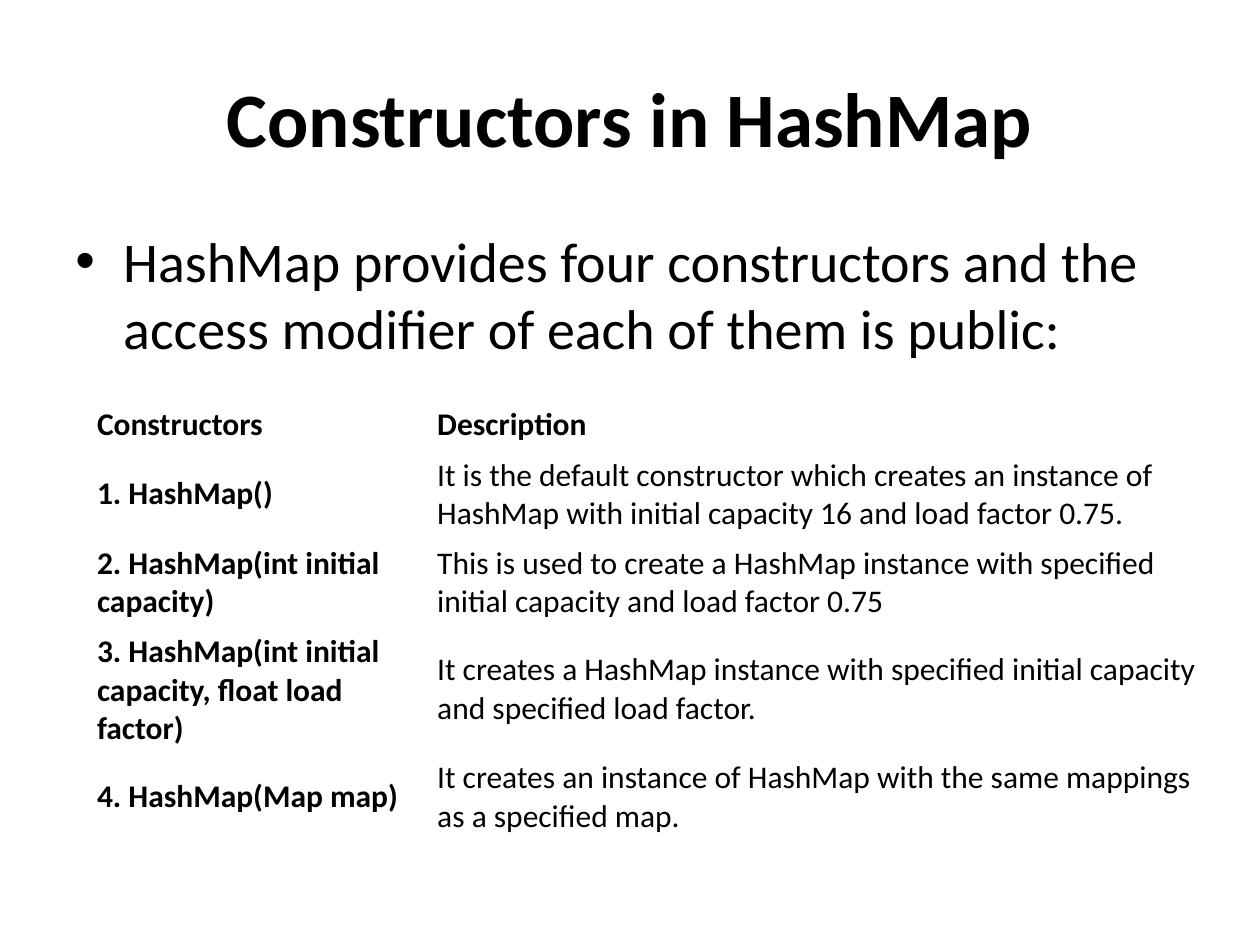
import pptx
import pptx.dml.color
import pptx.enum.text
import pptx.oxml
import pptx.oxml.ns
import pptx.util
from pptx.util import Inches

BLACK = pptx.dml.color.RGBColor(0, 0, 0)
FONT = "Calibri"
ANCHOR = pptx.enum.text.MSO_ANCHOR
ALIGN = pptx.enum.text.PP_ALIGN
CONSTRUCTORS = [
    ("Constructors", "Description", 1),
    ("1. HashMap()",
     "It is the default constructor which creates an instance of HashMap "
     "with initial capacity 16 and load factor 0.75.", 2),
    ("2. HashMap(int initial capacity)",
     "This is used to create a HashMap instance with specified initial "
     "capacity and load factor 0.75", 2),
    ("3. HashMap(int initial capacity, float load factor)",
     "It creates a HashMap instance with specified initial capacity and "
     "specified load factor.", 3),
    ("4. HashMap(Map map)",
     "It creates an instance of HashMap with the same mappings as a "
     "specified map.", 2),
]


def write_text(tf, text, size=18, bold=False, align=ALIGN.LEFT):
    """Write one formatted paragraph into a text frame and return it."""
    tf.word_wrap = True
    p = tf.paragraphs[0]
    p.alignment = align
    r = p.add_run()
    r.text = text
    r.font.name = FONT
    r.font.size = pptx.util.Pt(size)
    r.font.bold = bold
    r.font.color.rgb = BLACK
    return p


def add_text_box(slide, box, text, anchor=ANCHOR.TOP, **text_format):
    """Add a text box at (left, top, width, height) and return its paragraph."""
    sp = slide.shapes.add_textbox(*map(Inches, box))
    sp.text_frame.vertical_anchor = anchor
    return write_text(sp.text_frame, text, **text_format)


def add_bullet(p, indent):
    """Give a paragraph a round bullet with a hanging indent."""
    pPr = p._p.get_or_add_pPr()
    pPr.set("marL", str(Inches(indent)))
    pPr.set("indent", str(-Inches(indent)))
    ns = pptx.oxml.ns.nsdecls("a")
    for xml in (f'<a:buFont {ns} typeface="Arial"/>', f'<a:buChar {ns} char="•"/>'):
        pPr.append(pptx.oxml.parse_xml(xml))


def add_constructor_table(slide, left, top, widths):
    """Add the plain table of constructors, with rows sized by line count."""
    heights = [Inches(0.1 + 0.3 * lines) for *_, lines in CONSTRUCTORS]
    table = slide.shapes.add_table(
        len(CONSTRUCTORS), len(widths), Inches(left), Inches(top),
        Inches(sum(widths)), sum(heights)).table
    table.first_row = table.horz_banding = False
    for column, width in zip(table.columns, widths):
        column.width = Inches(width)
    for i, (name, description, _) in enumerate(CONSTRUCTORS):
        table.rows[i].height = heights[i]
        for j, text in enumerate((name, description)):
            cell = table.cell(i, j)
            cell.fill.background()
            cell.vertical_anchor = ANCHOR.MIDDLE
            write_text(cell.text_frame, text, bold=i == 0 or j == 0)


def main():
    """Build the slide and save it."""
    prs = pptx.Presentation()
    prs.slide_width, prs.slide_height = Inches(10), Inches(7.5)
    slide = prs.slides.add_slide(prs.slide_layouts[6])
    add_text_box(slide, (0.5, 0.3, 9, 1.25), "Constructors in HashMap",
                 anchor=ANCHOR.MIDDLE, size=44, bold=True, align=ALIGN.CENTER)
    p = add_text_box(slide, (0.5, 1.75, 9, 4.95),
                     "HashMap provides four constructors and the access "
                     "modifier of each of them is public:", size=32)
    p.space_before = pptx.util.Pt(6.4)
    add_bullet(p, 0.38)
    add_constructor_table(slide, 0.67, 3.17, (2.7, 6.3))
    prs.save("out.pptx")


if __name__ == "__main__":
    main()
